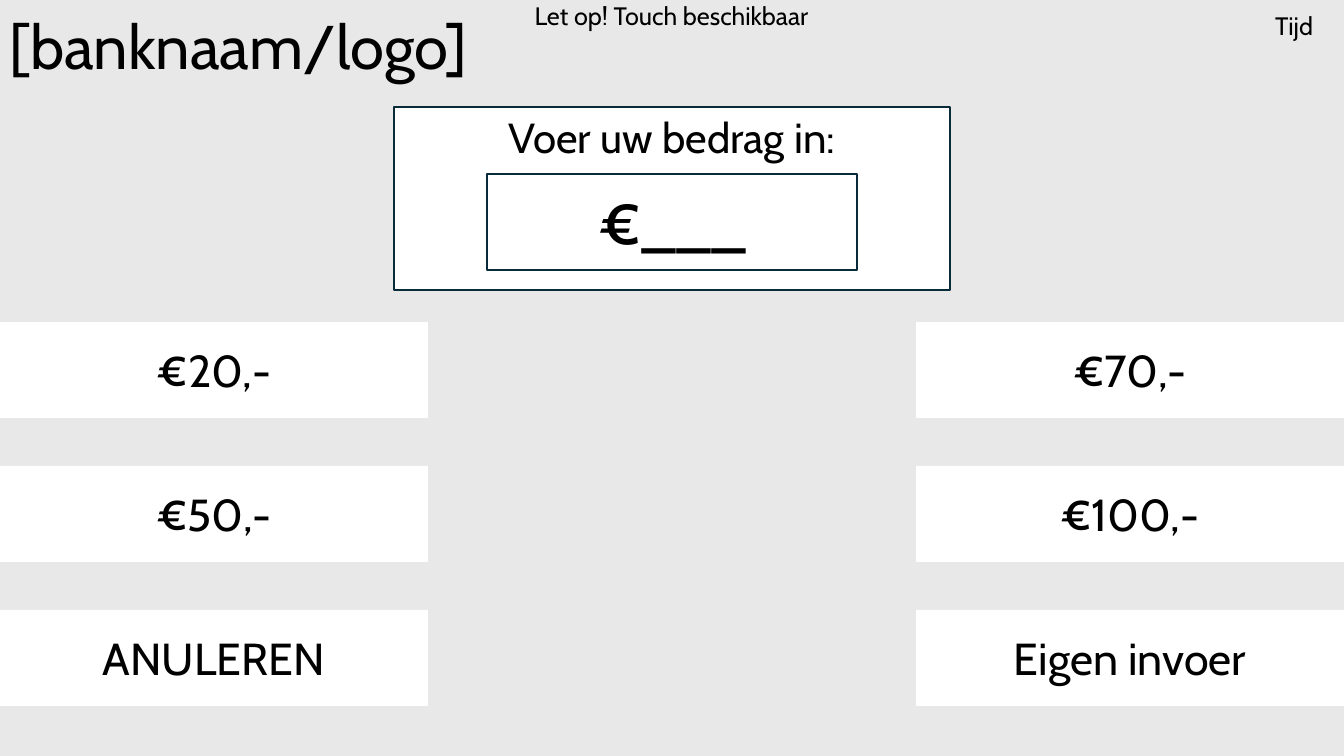
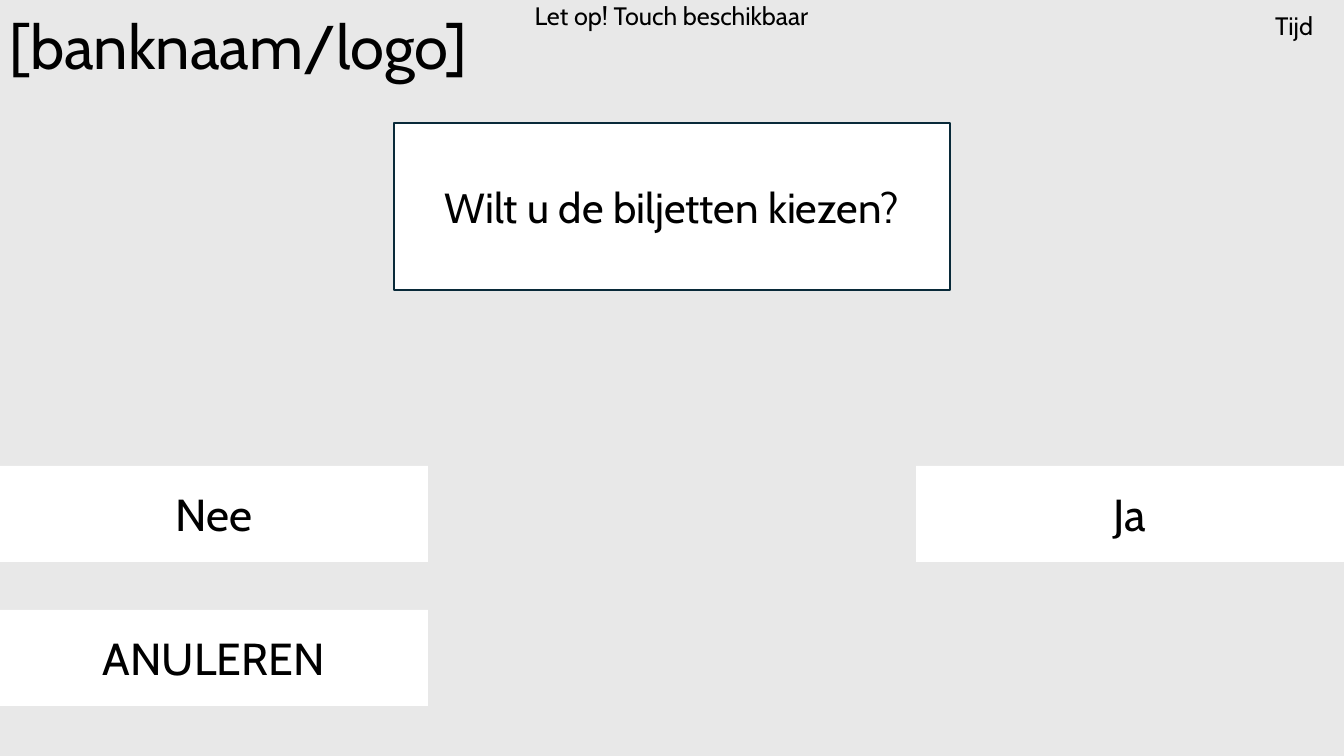
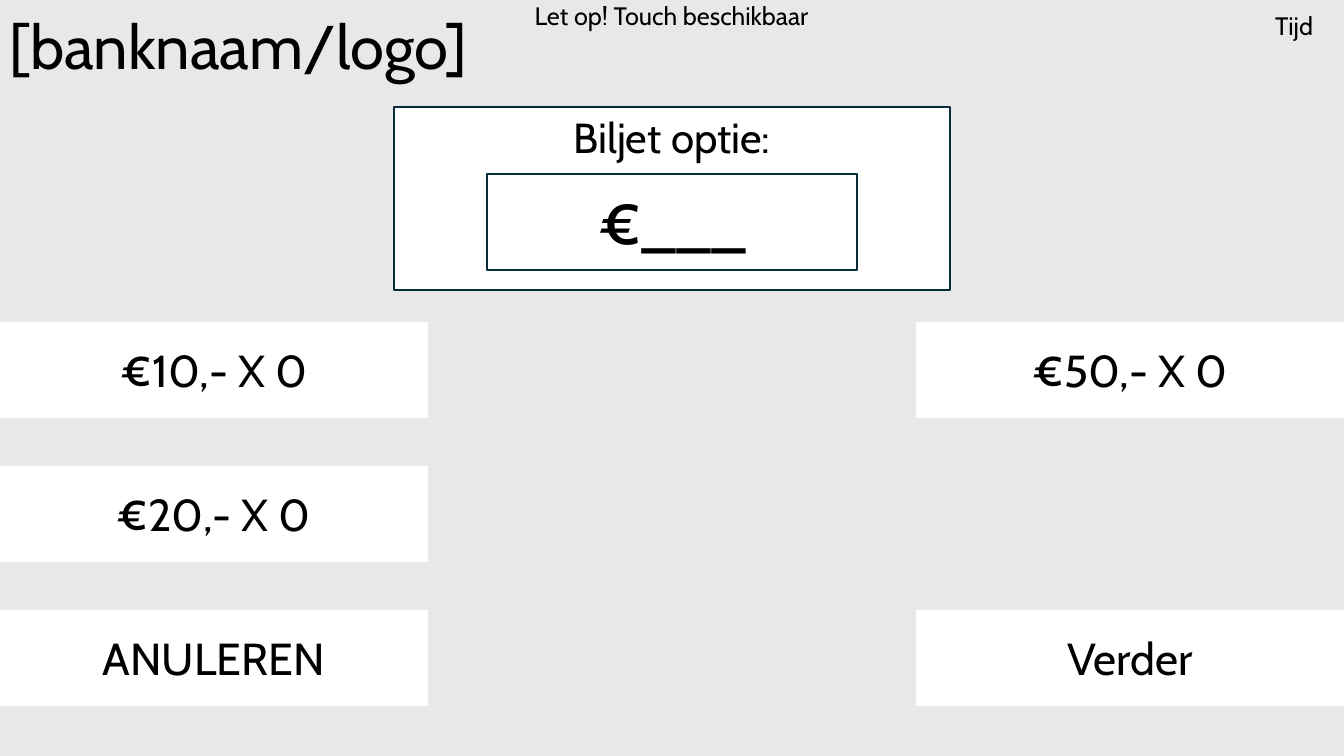
from pptx import Presentation
from pptx import util as u
from pptx.dml.color import RGBColor
from pptx.enum import shapes, text

WIDTH, HEIGHT = 1344, 756
EMU_PER_PX = u.Inches(7.5) / HEIGHT

BACKDROP = RGBColor(0xE8, 0xE8, 0xE8)
WHITE = RGBColor(0xFF, 0xFF, 0xFF)
BLACK = RGBColor(0x00, 0x00, 0x00)
NAVY = RGBColor(0x09, 0x2A, 0x39)
FONT = "Cabin"

# Button grid
BUTTON_W, BUTTON_H = 428, 96
COLUMNS = {"left": 0, "right": WIDTH - BUTTON_W}
FIRST_ROW, ROW_STEP = 322, 144

# Prompt card, centred on the slide
CARD_W, CARD_BOTTOM = 556, 290
ENTRY_W, ENTRY_TOP, ENTRY_H = 370, 174, 96


def px(length):
    return u.Emu(round(length * EMU_PER_PX))


def write(shape, words, size, align=text.PP_ALIGN.CENTER,
          anchor=text.MSO_ANCHOR.MIDDLE, spacing=None):
    frame = shape.text_frame
    frame.auto_size = text.MSO_AUTO_SIZE.NONE
    frame.word_wrap = True
    frame.vertical_anchor = anchor
    paragraph = frame.paragraphs[0]
    paragraph.alignment = align
    paragraph.line_spacing = spacing
    run = paragraph.add_run()
    run.text = words
    run.font.name = FONT
    run.font.size = u.Pt(size)
    run.font.color.rgb = BLACK


class Terminal:
    """Screens of a cash machine, drawn one slide at a time."""

    def __init__(self):
        self.deck = Presentation()
        self.deck.slide_width, self.deck.slide_height = px(WIDTH), px(HEIGHT)
        backdrop = self.deck.slide_master.background.fill
        backdrop.solid()
        backdrop.fore_color.rgb = BACKDROP
        self.slide = None

    def screen(self):
        self.slide = self.deck.slides.add_slide(self.deck.slide_layouts[6])
        self.label(0, -23, WIDTH, 146, "[banknaam/logo]", 44,
                   align=text.PP_ALIGN.LEFT, spacing=0.9)
        self.label(1250, 0, 94, 50, "Tijd ", 18)
        self.label(427, 1, 489, 28, "Let op! Touch beschikbaar", 18)

    def label(self, x, y, w, h, words, size, **style):
        box = self.slide.shapes.add_textbox(px(x), px(y), px(w), px(h))
        write(box, words, size, **style)

    def panel(self, x, y, w, h, words, size, outline=None, **style):
        box = self.slide.shapes.add_shape(
            shapes.MSO_SHAPE.RECTANGLE, px(x), px(y), px(w), px(h))
        box.shadow.inherit = False
        box.fill.solid()
        box.fill.fore_color.rgb = WHITE
        if outline is None:
            box.line.fill.background()
        else:
            box.line.color.rgb = outline
            box.line.width = u.Pt(1.5)
        write(box, words, size, **style)

    def button(self, side, row, words):
        self.panel(COLUMNS[side], FIRST_ROW + row * ROW_STEP,
                   BUTTON_W, BUTTON_H, words, 32)

    def card(self, top, words, **style):
        self.panel((WIDTH - CARD_W) // 2, top, CARD_W, CARD_BOTTOM - top,
                   words, 30, outline=NAVY, **style)

    def question(self, words):
        self.card(123, words)

    def amount_entry(self, words):
        self.card(107, words, anchor=text.MSO_ANCHOR.TOP)
        self.panel((WIDTH - ENTRY_W) // 2, ENTRY_TOP, ENTRY_W, ENTRY_H,
                   "€___", 44, outline=NAVY)


# Each screen: kind of prompt, its words, and buttons by side and row
SCREENS = [
    (Terminal.amount_entry, "Voer uw bedrag in:", {
        "left": {0: "€20,-", 1: "€50,-", 2: "ANULEREN"},
        "right": {0: "€70,-", 1: "€100,-", 2: "Eigen invoer"}}),
    (Terminal.question, "Wilt u de biljetten kiezen?", {
        "left": {1: "Nee", 2: "ANULEREN"},
        "right": {1: "Ja"}}),
    (Terminal.amount_entry, "Biljet optie:", {
        "left": {0: "€10,- X 0", 1: "€20,- X 0", 2: "ANULEREN"},
        "right": {0: "€50,- X 0", 2: "Verder"}}),
]


def main():
    terminal = Terminal()
    for prompt, words, choices in SCREENS:
        terminal.screen()
        for side, rows in choices.items():
            for row, choice in rows.items():
                terminal.button(side, row, choice)
        prompt(terminal, words)
    terminal.deck.save("out.pptx")


if __name__ == "__main__":
    main()
